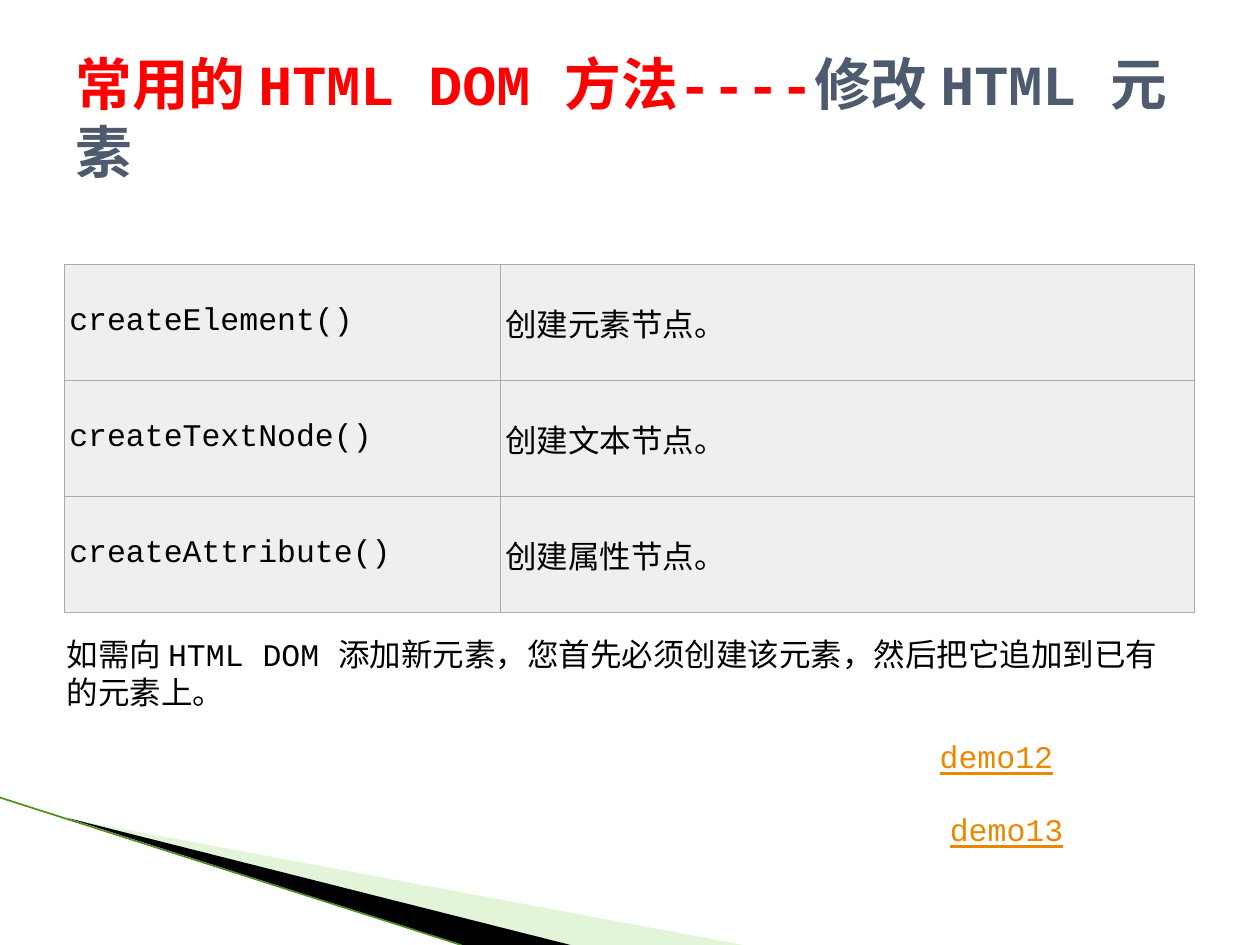
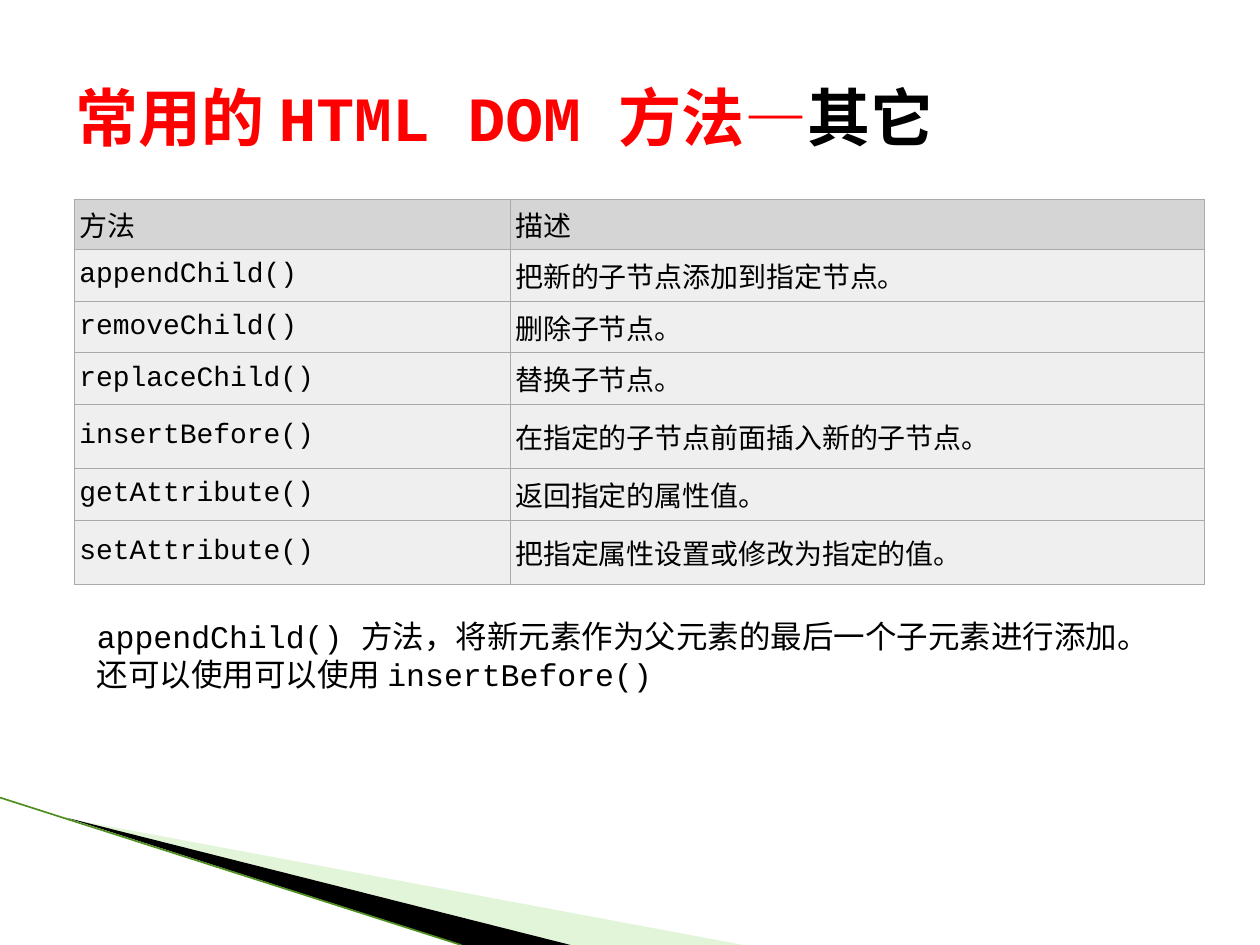
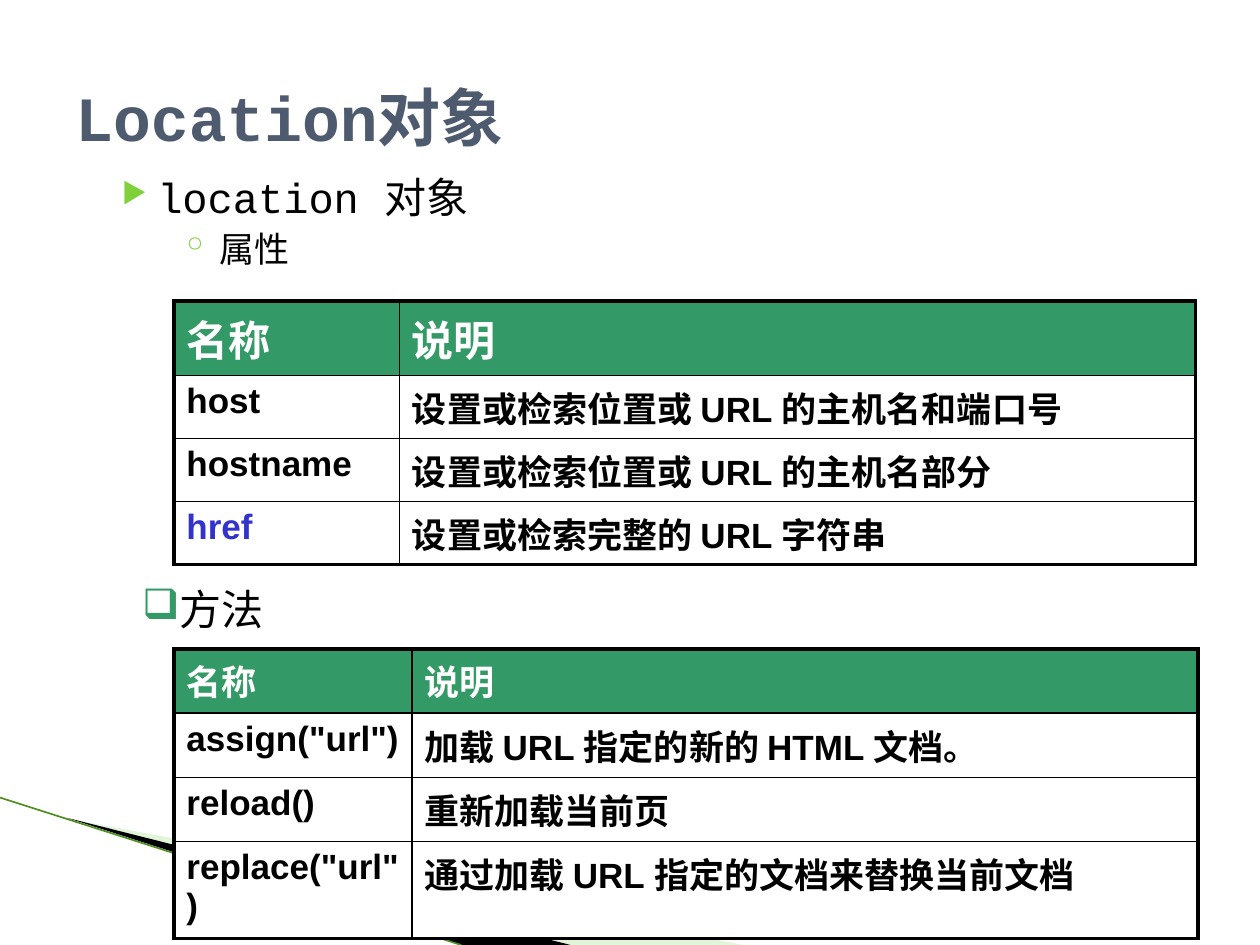
from dataclasses import dataclass

from lxml import etree
from pptx import Presentation
from pptx.dml.color import RGBColor
from pptx.enum.shapes import MSO_CONNECTOR
from pptx.enum.text import MSO_ANCHOR, MSO_AUTO_SIZE, PP_ALIGN
from pptx.oxml.ns import qn
from pptx.util import Inches, Pt

MIDDLE, TOP = MSO_ANCHOR.MIDDLE, MSO_ANCHOR.TOP
LEFT, JUSTIFY = PP_ALIGN.LEFT, PP_ALIGN.JUSTIFY
FIT_TEXT = MSO_AUTO_SIZE.SHAPE_TO_FIT_TEXT
STRAIGHT = MSO_CONNECTOR.STRAIGHT

MONO, SANS = "Courier New", "Arial"
BLACK, WHITE, RED, SLATE = "000000", "FFFFFF", "FF0000", "4E5B6F"
LINK, HREF_BLUE, BULLET_GREEN, HEADER_GREEN = "EB8803", "3333CC", "7FD13B", "339966"
PALE_GREEN, EDGE_GREEN = "B8E7A1", "4F8F1F"
LIGHT_GREY, MID_GREY, RULE_GREY = "EFEFEF", "D5D5D5", "AAAAAA"


@dataclass(frozen=True)
class Bullet:
    symbol: str
    color: str
    left: float
    indent: float
    percent: int = 100


@dataclass(frozen=True)
class Line:
    """A paragraph: (text, colour) runs that share one font and size."""
    runs: tuple
    size: float = 18
    bold: bool = False
    underline: bool = False
    bullet: Bullet | None = None
    level: int = 0
    before: float = 0
    spacing: float | None = None


@dataclass(frozen=True)
class TableStyle:
    font: str
    size: float
    header_size: float
    header_fill: str
    header_color: str
    body_fill: str
    rule_color: str
    inner_rule: float
    outer_rule: float
    bold: bool
    anchor: int
    body_align: int
    margins: tuple  # left, top, right, bottom


def grey_style(size: float) -> TableStyle:
    return TableStyle(MONO, size, size, MID_GREY, BLACK, LIGHT_GREY, RULE_GREY,
                      0.75, 0.75, False, MIDDLE, LEFT, (0.04, 0.04, 0.11, 0.04))


def green_style(header_size: float) -> TableStyle:
    return TableStyle(SANS, 20, header_size, HEADER_GREEN, WHITE, WHITE, BLACK,
                      1, 2.25, True, TOP, JUSTIFY, (0.1, 0.05, 0.1, 0.05))


def rgb(value: str) -> RGBColor:
    return RGBColor.from_string(value)


def add_child(parent, tag: str, **attributes):
    return etree.SubElement(parent, qn(tag), attributes)


def set_bullet(paragraph, bullet: Bullet) -> None:
    properties = paragraph._p.get_or_add_pPr()
    properties.set("marL", str(Inches(bullet.left)))
    properties.set("indent", str(Inches(bullet.indent)))
    color = add_child(properties, "a:buClr")
    add_child(color, "a:srgbClr", val=bullet.color)
    add_child(properties, "a:buSzPct", val=str(bullet.percent * 1000))
    add_child(properties, "a:buChar", char=bullet.symbol)


def add_text(slide, box: tuple, *lines: Line, anchor=TOP, grow=True) -> None:
    frame = slide.shapes.add_textbox(*map(Inches, box)).text_frame
    frame.word_wrap = True
    frame.vertical_anchor = anchor
    if grow:
        frame.auto_size = FIT_TEXT
    for index, line in enumerate(lines):
        paragraph = frame.add_paragraph() if index else frame.paragraphs[0]
        for text, color in line.runs:
            run = paragraph.add_run()
            run.text = text
            run.font.color.rgb = rgb(color)
            if line.underline:
                run.font.underline = True
        font = paragraph.font
        font.name, font.size, font.bold = MONO, Pt(line.size), line.bold
        if line.bullet:
            set_bullet(paragraph, line.bullet)
        paragraph.level = line.level
        paragraph.space_before = Pt(line.before)
        if line.spacing:
            paragraph.line_spacing = line.spacing


def add_title(slide, *runs: tuple, size: float = 36) -> None:
    add_text(slide, (0.5, 0.3, 9, 1.25), Line(runs, size, bold=True),
             anchor=MIDDLE, grow=False)


def set_borders(cell, color: str, widths: dict) -> None:
    properties = cell._tc.get_or_add_tcPr()
    for position, (side, width) in enumerate(widths.items()):
        border = etree.Element(qn(f"a:{side}"), {"w": str(Pt(width))})
        fill = add_child(border, "a:solidFill")
        add_child(fill, "a:srgbClr", val=color)
        properties.insert(position, border)


def add_method_table(slide, left: float, top: float, columns: tuple, heights: tuple,
                     rows: tuple, style: TableStyle, header: bool = True,
                     accents: dict | None = None) -> None:
    """Draw a table; accents maps a cell's text to its special colour."""
    accents = accents or {}
    table = slide.shapes.add_table(len(rows), len(columns), Inches(left), Inches(top),
                                   Inches(sum(columns)), Inches(sum(heights))).table
    table.first_row = table.horz_banding = False
    for column, width in zip(table.columns, columns):
        column.width = Inches(width)
    last_row, last_column = len(rows) - 1, len(columns) - 1
    for r, (row, height) in enumerate(zip(rows, heights)):
        table.rows[r].height = Inches(height)
        is_header = header and r == 0
        for c, text in enumerate(row):
            cell = table.cell(r, c)
            cell.text = text
            cell.vertical_anchor = style.anchor
            (cell.margin_left, cell.margin_top,
             cell.margin_right, cell.margin_bottom) = map(Inches, style.margins)
            cell.fill.solid()
            cell.fill.fore_color.rgb = rgb(style.header_fill if is_header else style.body_fill)
            paragraph = cell.text_frame.paragraphs[0]
            paragraph.alignment = LEFT if is_header else style.body_align
            font = paragraph.font
            font.name, font.bold = style.font, style.bold
            font.size = Pt(style.header_size if is_header else style.size)
            color = style.header_color if is_header else BLACK
            paragraph.runs[0].font.color.rgb = rgb(accents.get(text, color))
            on_edge = {"lnL": c == 0, "lnR": c == last_column,
                       "lnT": r == 0, "lnB": r == last_row}
            set_borders(cell, style.rule_color,
                        {side: style.outer_rule if outer else style.inner_rule
                         for side, outer in on_edge.items()})


def add_wedge(slide, corners: tuple, color: str, opacity: int = 100) -> None:
    start, *rest = [(Inches(x), Inches(y)) for x, y in corners]
    builder = slide.shapes.build_freeform(*start)
    builder.add_line_segments(rest, close=True)
    wedge = builder.convert_to_shape()
    wedge.shadow.inherit = False
    wedge.line.fill.background()
    wedge.fill.solid()
    wedge.fill.fore_color.rgb = rgb(color)
    if opacity < 100:
        color_node = wedge._element.spPr.find(f"{qn('a:solidFill')}/{qn('a:srgbClr')}")
        add_child(color_node, "a:alpha", val=str(opacity * 1000))


def add_base_slide(deck):
    """Add a blank slide with the corner wedges."""
    slide = deck.slides.add_slide(deck.slide_layouts[6])
    add_wedge(slide, ((0.55, 6.5), (5.9, 7.5), (4.53, 7.5)), PALE_GREEN, 40)
    add_wedge(slide, ((0.53, 6.49), (4.53, 7.5), (3.67, 7.5)), BLACK)
    edge = slide.shapes.add_connector(STRAIGHT, Inches(0), Inches(6.33),
                                      Inches(3.66), Inches(7.5))
    edge.line.color.rgb = rgb(EDGE_GREEN)
    edge.line.width = Pt(0.95)
    add_child(edge._element.spPr, "a:effectLst")
    return slide


def build_create_slide(deck) -> None:
    slide = add_base_slide(deck)
    add_method_table(slide, 0.51, 2.1, (3.46, 5.51), (0.92,) * 3, (
        ("createElement()", "创建元素节点。"),
        ("createTextNode()", "创建文本节点。"),
        ("createAttribute()", "创建属性节点。"),
    ), grey_style(18), header=False)
    add_title(slide, ("常用的 HTML DOM 方法----", RED), ("修改 HTML 元素", SLATE), size=32.4)
    for label, left, top in (("demo12", 7.36, 5.8), ("demo13", 7.44, 6.38)):
        add_text(slide, (left, top, 1.57, 0.4), Line(((label, LINK),), underline=True))
    add_text(slide, (0.43, 4.99, 9.06, 0.71), Line(((
        "如需向 HTML DOM 添加新元素，您首先必须创建该元素，然后把它追加到已有的元素上。", BLACK),)))


def build_other_methods_slide(deck) -> None:
    slide = add_base_slide(deck)
    short, tall = 0.41, 0.51
    add_method_table(slide, 0.59, 1.58, (3.46, 5.51),
                     (0.4, short, short, short, tall, short, tall), (
        ("方法", "描述"),
        ("appendChild()", "把新的子节点添加到指定节点。"),
        ("removeChild()", "删除子节点。"),
        ("replaceChild()", "替换子节点。"),
        ("insertBefore()", "在指定的子节点前面插入新的子节点。"),
        ("getAttribute()", "返回指定的属性值。"),
        ("setAttribute()", "把指定属性设置或修改为指定的值。"),
    ), grey_style(16))
    add_title(slide, ("常用的 HTML DOM 方法—", RED), ("其它", BLACK))
    add_text(slide, (0.67, 4.85, 8.9, 1.01),
             Line((("appendChild() 方法，将新元素作为父元素的最后一个子元素进行添加。", BLACK),)),
             Line((("还可以使用可以使用 insertBefore()", BLACK),)))


def build_location_slide(deck) -> None:
    slide = add_base_slide(deck)
    add_title(slide, ("Location对象", SLATE))
    add_text(slide, (0.75, 1.31, 8.9, 1.26),
             Line((("location 对象", BLACK),), 24, before=4,
                  bullet=Bullet("▶", BULLET_GREEN, 0.4, -0.28, 68)),
             Line((("属性", BLACK),), 20, level=1, before=3.2,
                  bullet=Bullet("◦", BULLET_GREEN, 0.89, -0.3)),
             grow=False)
    add_method_table(slide, 1.38, 2.39, (1.79, 6.32), (0.59, 0.5, 0.5, 0.5), (
        ("名称", "说明"),
        ("host", "设置或检索位置或 URL 的主机名和端口号"),
        ("hostname", "设置或检索位置或 URL 的主机名部分"),
        ("href", "设置或检索完整的 URL 字符串"),
    ), green_style(24), accents={"href": HREF_BLUE})
    add_method_table(slide, 1.38, 5.15, (1.89, 6.24), (0.51, 0.51, 0.51, 0.72), (
        ("名称", "说明"),
        ('assign("url")', "加载 URL 指定的新的 HTML 文档。"),
        ("reload()", "重新加载当前页"),
        ('replace("url")', "通过加载 URL 指定的文档来替换当前文档"),
    ), green_style(20))
    add_text(slide, (0.75, 4.63, 1.76, 0.46),
             Line((("方法", BLACK),), 24, level=1, spacing=0.9,
                  bullet=Bullet("❑", HEADER_GREEN, 0.28, 0)))


def main() -> None:
    deck = Presentation()
    deck.slide_width, deck.slide_height = Inches(10), Inches(7.5)
    build_create_slide(deck)
    build_other_methods_slide(deck)
    build_location_slide(deck)
    deck.save("out.pptx")


if __name__ == "__main__":
    main()
